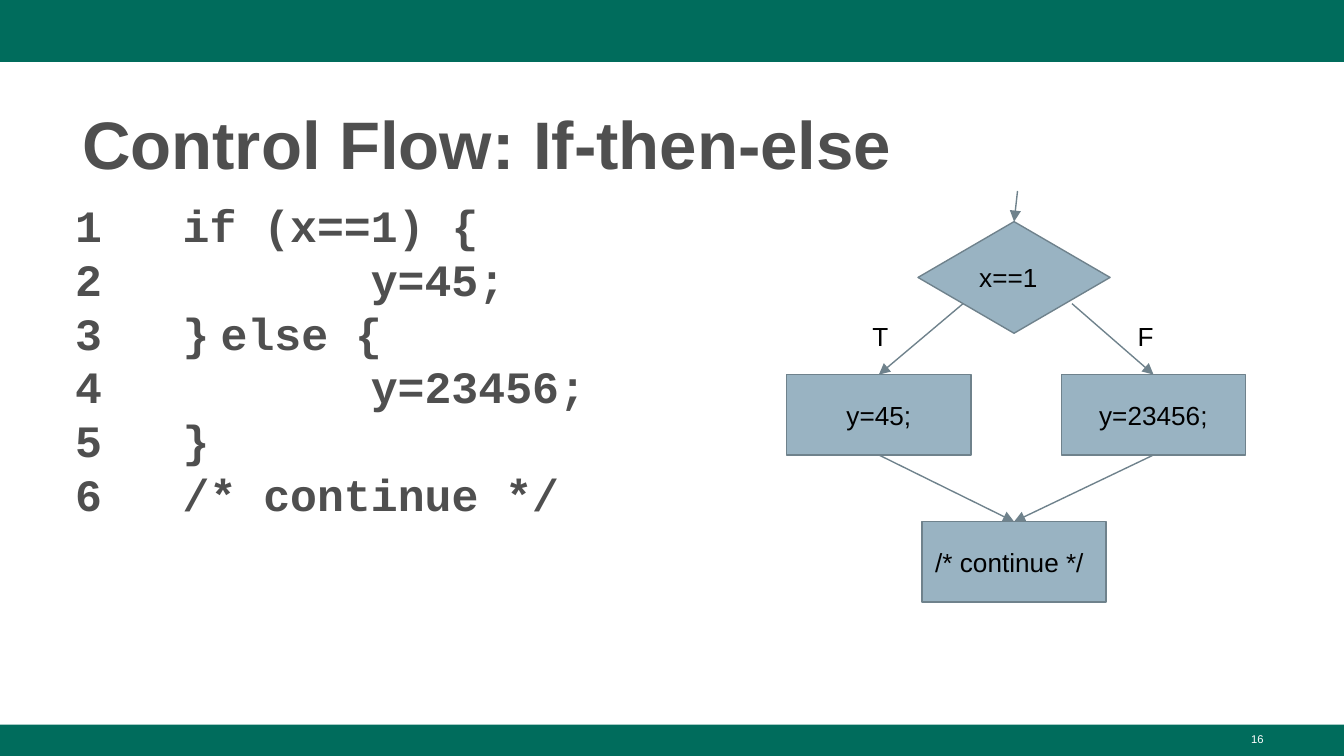
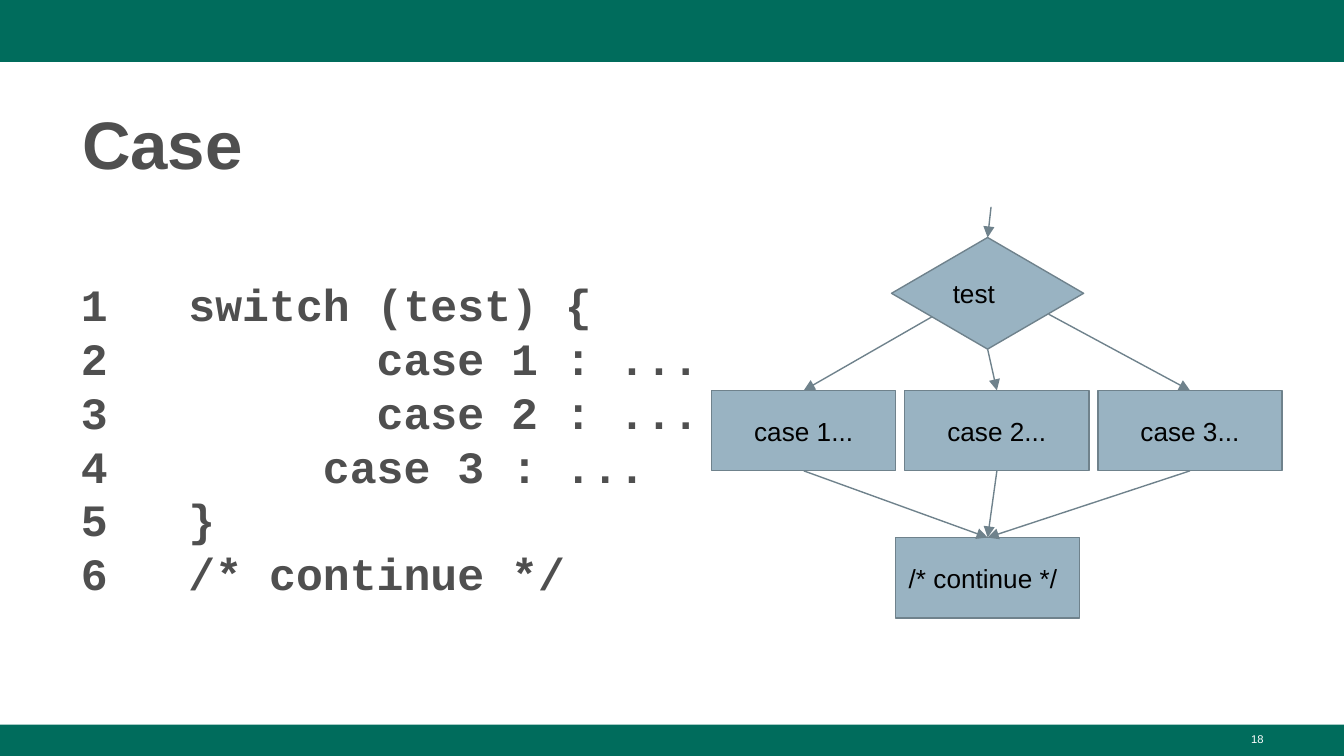
from lxml import etree
from pptx import Presentation
from pptx.dml.color import RGBColor
from pptx.enum import shapes, text
from pptx.oxml.ns import qn
from pptx.util import Cm, Pt

COLORS = {
    "band": "006C5C", "heading": "4F4F4F", "node": "99B3C2",
    "edge": "6F828C", "label": "000000", "page": "FFFFFF",
}
SLIDE_W, SLIDE_H = 25.4, 14.29
DIAMOND_W, DIAMOND_H = 3.63, 2.11
BOX_W, BOX_H = 3.48, 1.52
BRANCH_DY, JOIN_DY = 2.89, 5.67
CODE_TAB = 2.54
TOP, BOTTOM = 0, 2
LEFT, CENTER, RIGHT = text.PP_ALIGN.LEFT, text.PP_ALIGN.CENTER, text.PP_ALIGN.RIGHT


def rgb(name):
    return RGBColor.from_string(COLORS[name])


def set_font(font, size, color, name="Arial", bold=False):
    font.size, font.name, font.bold = Pt(size), name, bold
    font.color.rgb = rgb(color)


def set_frame(tf, insets, anchor=text.MSO_ANCHOR.TOP):
    """Insets are left, top, right, bottom in centimetres."""
    tf.word_wrap = True
    tf.auto_size = text.MSO_AUTO_SIZE.NONE
    tf.vertical_anchor = anchor
    tf.margin_left, tf.margin_top, tf.margin_right, tf.margin_bottom = map(Cm, insets)


def write_line(tf, line, size, color, align=LEFT):
    p = tf.paragraphs[0]
    p.text, p.alignment = line, align
    set_font(p.font, size, color)


def add_textbox(s, box, insets):
    tf = s.shapes.add_textbox(*map(Cm, box)).text_frame
    set_frame(tf, insets)
    return tf


def add_bands(s, layout):
    """Draw the two bands and move them to the back of the layout."""
    for i, (top, height) in enumerate([(0, 1.17), (13.7, 0.59)]):
        sp = s.shapes.add_shape(shapes.MSO_SHAPE.RECTANGLE,
                                0, Cm(top), Cm(SLIDE_W), Cm(height))
        sp.shadow.inherit = False
        sp.fill.solid()
        sp.fill.fore_color.rgb = rgb("band")
        sp.line.fill.background()
        sp.name = f"Band {i + 1}"
        sp.element.nvSpPr.cNvPr.set("id", str(100 + i))
        layout.shapes.element.insert(2 + i, sp.element)


def add_title(s, title):
    sp = s.shapes.title
    sp.left, sp.top, sp.width, sp.height = map(Cm, (1.3, 1.71, 22.83, 1.85))
    set_frame(sp.text_frame, (0.25, 0.13, 0.13, 0.13), text.MSO_ANCHOR.MIDDLE)
    write_line(sp.text_frame, title, 36, "heading")
    p = sp.text_frame.paragraphs[0]
    p.font.bold = True
    p.line_spacing = 1.08


def add_page_number(s, number):
    tf = add_textbox(s, (18.21, 13.72, 5.92, 0.57), (0.25, 0.13, 0.25, 0.13))
    write_line(tf, str(number), 6, "page", RIGHT)


def add_code(s, box, lines):
    """A line is a list of runs; a run of a lone space is set small."""
    tf = add_textbox(s, box, (0.25, 0.13, 0.25, 0.13))
    for i, runs in enumerate(lines):
        p = tf.paragraphs[0] if i == 0 else tf.add_paragraph()
        tabs = etree.SubElement(p._p.get_or_add_pPr(), qn("a:tabLst"))
        etree.SubElement(tabs, qn("a:tab"), pos=str(Cm(CODE_TAB)), algn="l")
        set_font(p.font, 24, "heading", "Courier New", True)
        for part in runs:
            r = p.add_run()
            r.text = part
            small = part == " "
            set_font(r.font, 10 if small else 24, "heading", "Courier New", not small)


def add_node(s, kind, box, label, align=LEFT):
    sp = s.shapes.add_shape(kind, *map(Cm, box))
    sp.shadow.inherit = False
    sp.fill.solid()
    sp.fill.fore_color.rgb = rgb("node")
    sp.line.color.rgb = rgb("edge")
    sp.line.width = Pt(0.75)
    set_frame(sp.text_frame, (0.25,) * 4, text.MSO_ANCHOR.MIDDLE)
    write_line(sp.text_frame, label, 14, "label", align)
    return sp


def add_arrow(s, target, start=(0, 0), source=None):
    """Point at the top of target, from the bottom of source or else from start."""
    cn = s.shapes.add_connector(shapes.MSO_CONNECTOR.STRAIGHT,
                                *map(Cm, start), target.left, target.top)
    if source is not None:
        cn.begin_connect(source, BOTTOM)
    cn.end_connect(target, TOP)
    cn.line.color.rgb = rgb("edge")
    cn.line.width = Pt(0.75)
    etree.SubElement(cn.line._get_or_add_ln(), qn("a:tailEnd"), type="triangle")
    etree.SubElement(cn.element.spPr, qn("a:effectLst"))


def add_flowchart(s, x, y, test, branches, first_dx, step, exits, edge_labels=()):
    """Place a decision at x, y with its branches below and their join.

    exits are the arrow starts relative to x, y; None means the lower corner.
    edge_labels are (text, dx) pairs.
    """
    rectangle = shapes.MSO_SHAPE.RECTANGLE
    decision = add_node(s, shapes.MSO_SHAPE.DIAMOND, (x, y, DIAMOND_W, DIAMOND_H), test)
    join = add_node(s, rectangle, (x + (DIAMOND_W - BOX_W) / 2, y + JOIN_DY, BOX_W, BOX_H),
                    "/* continue */")
    add_arrow(s, decision, (x + 1.88, y - 0.58))
    for i, (label, leave) in enumerate(zip(branches, exits)):
        box = (x + first_dx + i * step, y + BRANCH_DY, BOX_W, BOX_H)
        branch = add_node(s, rectangle, box, label, CENTER)
        if leave is None:
            add_arrow(s, branch, source=decision)
        else:
            add_arrow(s, branch, (x + leave[0], y + leave[1]))
        add_arrow(s, join, source=branch)
    for label, dx in edge_labels:
        tf = add_textbox(s, (x + dx, y + 1.62, 1.12, 0.56), (0.25,) * 4)
        write_line(tf, label, 14, "label")


def add_code_slide(prs, title, number, code_box, code, chart):
    s = prs.slides.add_slide(prs.slide_layouts[5])
    add_title(s, title)
    add_code(s, code_box, code)
    add_flowchart(s, **chart)
    add_page_number(s, number)
    return s


def main():
    prs = Presentation()
    prs.slide_width, prs.slide_height = Cm(SLIDE_W), Cm(SLIDE_H)
    s = add_code_slide(
        prs, "Control Flow: If-then-else", 16, (1.17, 3.61, 12.55, 7.98),
        [["1   if (x==1) {"],
         ["2\t      y=45;"],
         ["3   }", " ", "else {"],
         ["4\t      y=23456;"],
         ["5   }"],
         ["6   /* continue */"]],
        dict(x=17.35, y=4.19, test="x==1", branches=["y=45;", "y=23456;"],
             first_dx=-2.48, step=5.19, exits=[(0.85, 1.55), (2.91, 1.55)],
             edge_labels=[("T", -1.11), ("F", 3.9)]))
    add_bands(s, prs.slide_layouts[5])
    add_code_slide(
        prs, "Case", 18, (1.28, 5.11, 12.65, 6.27),
        [["1   switch (test) {"],
         ["2\t      case 1 : ..."],
         ["3\t      case 2 : ..."],
         ["4 \t    case 3 : ..."],
         ["5   }"],
         ["6   /* continue */"]],
        dict(x=16.85, y=4.49, test="test", branches=["case 1...", "case 2...", "case 3..."],
             first_dx=-3.4, step=3.65, exits=[(0.76, 1.5), None, (2.97, 1.45)]))
    prs.save("out.pptx")


if __name__ == "__main__":
    main()
